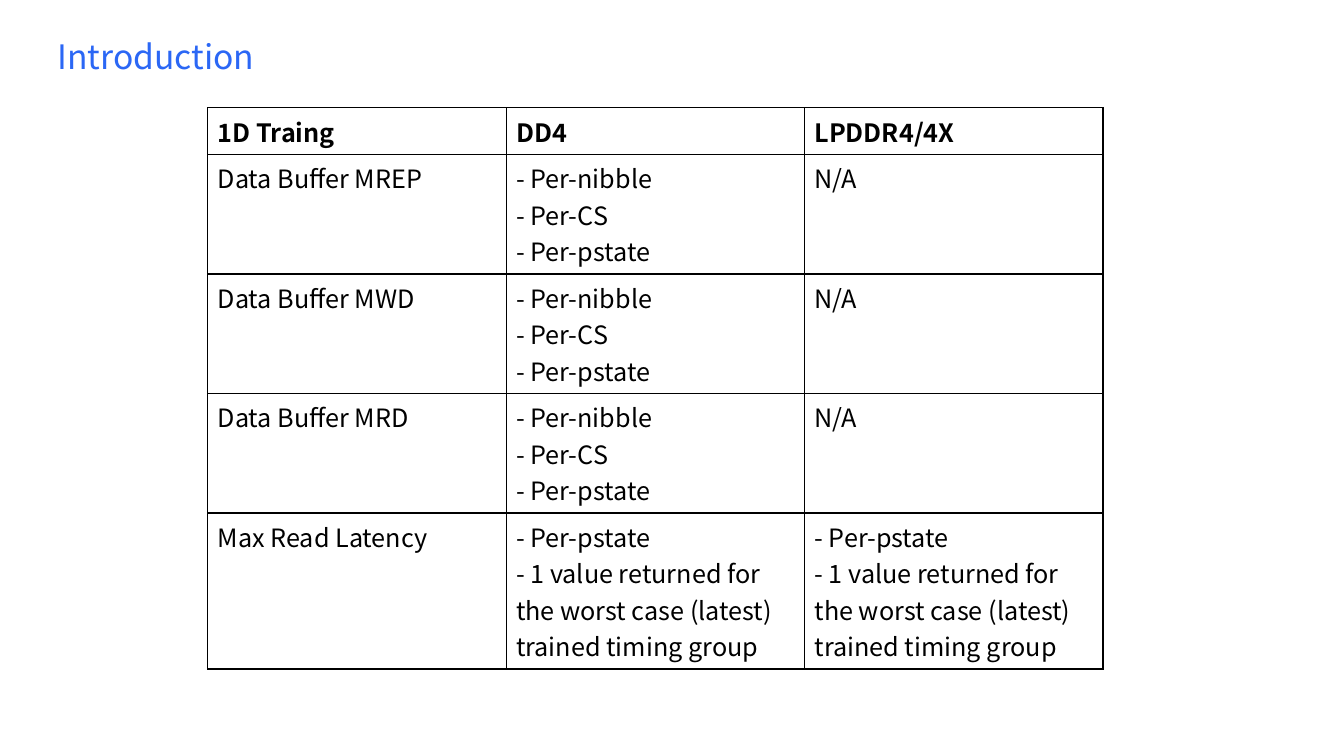
from dataclasses import dataclass

from lxml import etree
from pptx import Presentation
from pptx import util as u
from pptx.dml.color import RGBColor
from pptx.enum import text
from pptx.oxml.ns import qn


@dataclass(frozen=True)
class Theme:
    font: str = "Noto Sans CJK SC"
    title: str = "2B67F5"
    ink: str = "000000"
    title_size: int = 24
    body_size: int = 18
    border: float = 1


@dataclass(frozen=True)
class TrainingRow:
    height: float
    cells: tuple[str, str, str]
    bold: bool = False


THEME = Theme()
PER_NIBBLE = "- Per-nibble\n- Per-CS\n- Per-pstate"
WORST_CASE = (
    "- Per-pstate\n"
    "- 1 value returned for the worst case (latest) trained timing group"
)
ROWS = [
    TrainingRow(0.46, ("1D Traing", "DD4", "LPDDR4/4X"), bold=True),
    *(
        TrainingRow(1.18, (f"Data Buffer {name}", PER_NIBBLE, "N/A"))
        for name in ("MREP", "MWD", "MRD")
    ),
    TrainingRow(1.54, ("Max Read Latency", WORST_CASE, WORST_CASE)),
]
COLUMN_WIDTH = 2.96


def write(tf, content: str, size: int, color: str, bold: bool = False, spacing: float = 1.0) -> None:
    tf.text = content
    font_format = {"name": THEME.font, "size": u.Pt(size), "bold": bold}
    for p in tf.paragraphs:
        p.alignment = text.PP_ALIGN.LEFT
        p.line_spacing = spacing
        for r in p.runs:
            for key, value in font_format.items():
                setattr(r.font, key, value)
            r.font.color.rgb = RGBColor.from_string(color)


def add_borders(cell) -> None:
    tc_pr = cell._tc.get_or_add_tcPr()
    for index, side in enumerate(("lnL", "lnR", "lnT", "lnB")):
        ln = etree.Element(qn(f"a:{side}"), w=str(u.Pt(THEME.border)))
        fill = etree.SubElement(ln, qn("a:solidFill"))
        etree.SubElement(fill, qn("a:srgbClr"), val=THEME.ink)
        tc_pr.insert(index, ln)


def add_title(s, content: str) -> None:
    sp = s.shapes.title
    box = {"left": 0.47, "top": 0.38, "width": 10.56, "height": 0.41}
    for key, value in box.items():
        setattr(sp, key, u.Inches(value))
    tf = sp.text_frame
    frame_format = {
        "word_wrap": True,
        "auto_size": text.MSO_AUTO_SIZE.NONE,
        "vertical_anchor": text.MSO_ANCHOR.MIDDLE,
    }
    for key, value in frame_format.items():
        setattr(tf, key, value)
    write(tf, content, THEME.title_size, THEME.title, spacing=0.9)


def add_training_table(s, rows: list[TrainingRow]) -> None:
    columns = len(rows[0].cells)
    table = s.shapes.add_table(
        len(rows), columns, u.Inches(2.06), u.Inches(1.07),
        u.Inches(columns * COLUMN_WIDTH), u.Inches(sum(row.height for row in rows)),
    ).table
    table.horz_banding = False
    for column in table.columns:
        column.width = u.Inches(COLUMN_WIDTH)
    for row_index, row in enumerate(rows):
        table.rows[row_index].height = u.Inches(row.height)
        for column_index, content in enumerate(row.cells):
            cell = table.cell(row_index, column_index)
            cell.fill.background()
            add_borders(cell)
            write(cell.text_frame, content, THEME.body_size, THEME.ink, row.bold)


def main() -> None:
    prs = Presentation()
    prs.slide_width, prs.slide_height = u.Inches(13.33), u.Inches(7.5)
    s = prs.slides.add_slide(prs.slide_layouts.get_by_name("Title Only"))
    add_title(s, "Introduction")
    add_training_table(s, ROWS)
    prs.save("out.pptx")


if __name__ == "__main__":
    main()
